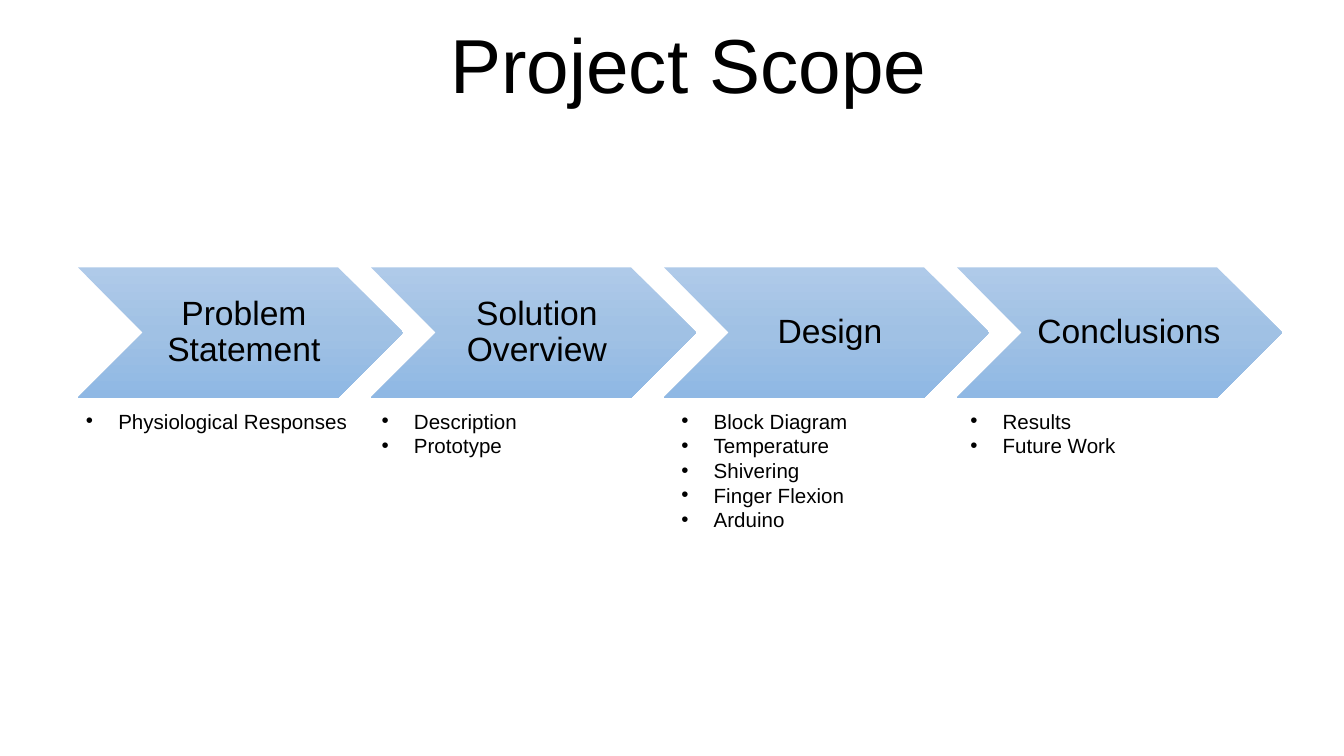
from copy import deepcopy

from lxml import etree
from pptx import Presentation
from pptx import util as u
from pptx.dml.color import RGBColor
from pptx.enum import shapes, text
from pptx.oxml.ns import qn

BLACK = RGBColor(0x00, 0x00, 0x00)
BLUE_TOP = RGBColor(0xAF, 0xCA, 0xE9)
BLUE_MIDDLE = RGBColor(0xA0, 0xC1, 0xE4)
BLUE_BOTTOM = RGBColor(0x8F, 0xB8, 0xE4)
FONT = "Arial"
INDENT = 0.24

SLIDE_W = 10
SLIDE_H = SLIDE_W * 9 / 16
STEP_LEFT, STEP_TOP, STEP_PITCH = 0.58, 1.99, 2.18
STEP_W, STEP_H = 2.42, 0.97

# label lines, label width, topics, topic box (left, top, width, height)
STEPS = [
    (["Problem", "Statement"], 1.45, ["Physiological Responses"], (0.57, 3, 2.13, 0.61)),
    (["Solution Overview"], 1.45, ["Description", "Prototype"], (2.77, 3, 1.93, 0.78)),
    (["Design"], 1.45,
     ["Block Diagram", "Temperature", "Shivering", "Finger Flexion", "Arduino"],
     (5, 3, 1.58, 1.14)),
    (["Conclusions"], 1.54, ["Results", "Future Work"], (7.15, 3, 2.06, 0.43)),
]


def inches(box):
    return [u.Inches(v) for v in box]


def add_bullet(p):
    p_pr = p._p.get_or_add_pPr()
    p_pr.set("marL", str(u.Inches(INDENT)))
    p_pr.set("indent", str(-u.Inches(INDENT)))
    etree.SubElement(p_pr, qn("a:buFont")).set("typeface", FONT)
    etree.SubElement(p_pr, qn("a:buChar")).set("char", "•")


def add_text(parent, box, lines, size, insets, anchor=text.MSO_ANCHOR.MIDDLE,
             align=text.PP_ALIGN.CENTER, spacing=1.0, bullets=False):
    tf = parent.add_textbox(*inches(box)).text_frame
    tf.word_wrap = True
    tf.vertical_anchor = anchor
    tf.margin_left, tf.margin_top, tf.margin_right, tf.margin_bottom = inches(insets)
    for i, line in enumerate(lines):
        p = tf.add_paragraph() if i else tf.paragraphs[0]
        p.alignment = align
        p.line_spacing = spacing
        if bullets:
            add_bullet(p)
        r = p.add_run()
        r.text = line
        r.font.name = FONT
        r.font.size = u.Pt(size)
        r.font.color.rgb = BLACK


def fill_gradient(sp):
    """Shade from top to bottom through three blues."""
    sp.fill.gradient()
    sp.fill.gradient_angle = 270
    first = sp._element.spPr.find(qn("a:gradFill")).find(qn("a:gsLst"))[0]
    first.addnext(deepcopy(first))
    stops = zip(sp.fill.gradient_stops, (0, 0.5, 1), (BLUE_TOP, BLUE_MIDDLE, BLUE_BOTTOM))
    for stop, position, color in stops:
        stop.position = position
        stop.color.rgb = color


def add_step(parent, box, label, label_width):
    left, top, _, height = box
    sp = parent.add_shape(shapes.MSO_SHAPE.CHEVRON, *inches(box))
    sp.adjustments[0] = 0.5
    sp.shadow.inherit = False
    sp.line.fill.background()
    fill_gradient(sp)
    add_text(parent, (left + height / 2, top, label_width, height), label, 18,
             (0.08, 0.03, 0.03, 0.03), spacing=0.9)


def add_process(s):
    group = s.shapes.add_group_shape()
    for i, (label, label_width, _, _) in enumerate(STEPS):
        add_step(group.shapes, (STEP_LEFT + i * STEP_PITCH, STEP_TOP, STEP_W, STEP_H),
                 label, label_width)


def add_topics(s):
    for _, _, topics, box in STEPS:
        add_text(s.shapes, box, topics, 11, (0.07, 0.04, 0.07, 0.04),
                 text.MSO_ANCHOR.TOP, text.PP_ALIGN.LEFT, bullets=True)


def main():
    prs = Presentation()
    prs.slide_width, prs.slide_height = inches((SLIDE_W, SLIDE_H))
    s = prs.slides.add_slide(prs.slide_layouts[6])
    add_text(s.shapes, (1.1, 0.1, 8.05, 0.74), ["Project Scope"], 41, (0.05,) * 4)
    add_process(s)
    add_topics(s)
    prs.save("out.pptx")


if __name__ == "__main__":
    main()
